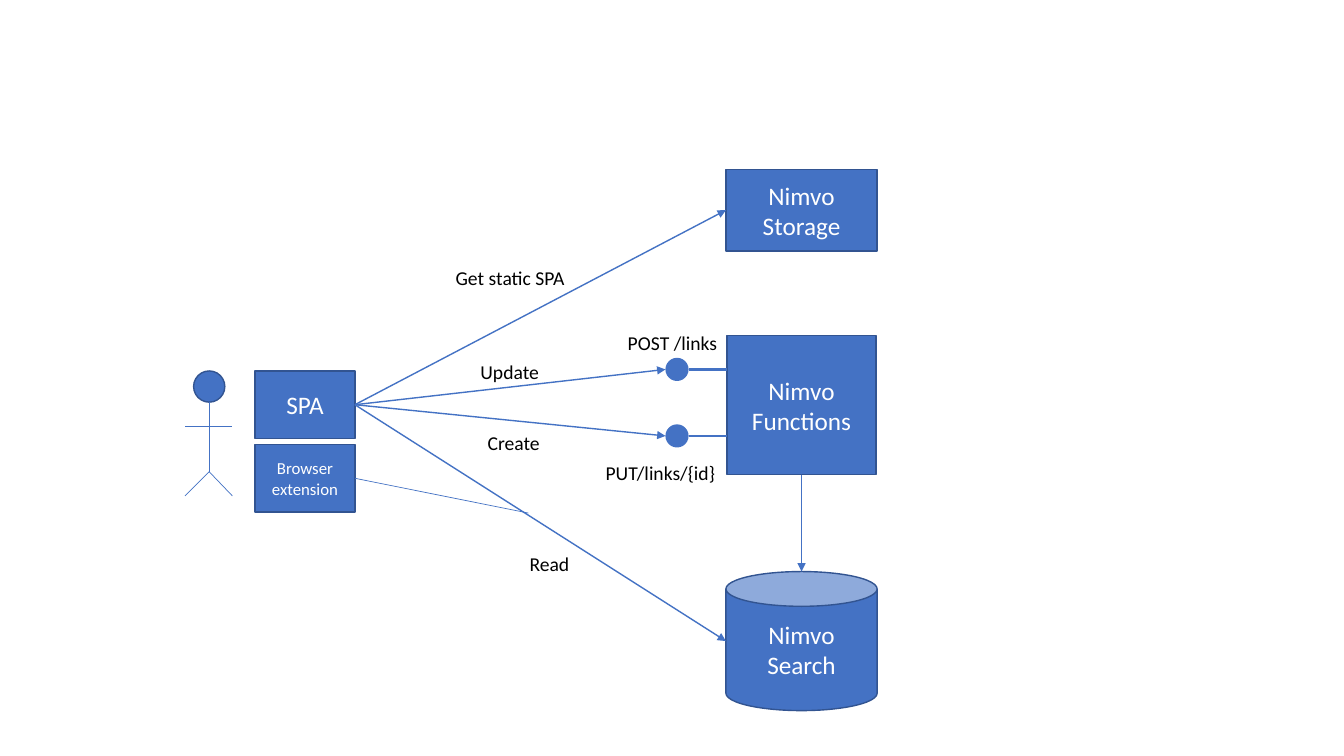
from dataclasses import dataclass
from typing import Any, NamedTuple

import lxml.etree
import pptx
import pptx.dml.color
import pptx.enum.shapes
import pptx.enum.text
import pptx.oxml.ns
import pptx.util
from pptx.util import Inches

SHAPE = pptx.enum.shapes.MSO_SHAPE
ALIGN = pptx.enum.text.PP_ALIGN
ANCHOR = pptx.enum.text.MSO_ANCHOR
RGB = pptx.dml.color.RGBColor


@dataclass(frozen=True)
class Theme:
    font: str = "Calibri"
    fill: RGB = RGB(0x44, 0x72, 0xC4)
    border: RGB = RGB(0x32, 0x54, 0x91)
    light: RGB = RGB(0xFF, 0xFF, 0xFF)
    dark: RGB = RGB(0, 0, 0)
    box_size: int = 18
    small_size: int = 12
    label_size: int = 14
    thin: float = 0.5
    normal: float = 1
    thick: float = 2


class Point(NamedTuple):
    x: float
    y: float


@dataclass(frozen=True)
class Node:
    x: float
    y: float
    w: float
    h: float
    text: str = ""
    kind: Any = SHAPE.RECTANGLE
    size: int = Theme.box_size
    bordered: bool = True

    @property
    def left(self) -> Point:
        return Point(self.x, self.y + self.h / 2)

    @property
    def right(self) -> Point:
        return Point(self.x + self.w, self.y + self.h / 2)

    @property
    def top(self) -> Point:
        return Point(self.x + self.w / 2, self.y)

    @property
    def bottom(self) -> Point:
        return Point(self.x + self.w / 2, self.y + self.h)


class Link(NamedTuple):
    start: Point
    end: Point
    width: float = Theme.normal
    arrow: bool = False


class Label(NamedTuple):
    text: str
    x: float
    y: float
    w: float


THEME = Theme()


def apply(target: Any, values: dict[str, Any]) -> None:
    for name, value in values.items():
        setattr(target, name, value)


def write(sp: Any, text: str, size: int, color: RGB, wrap: bool) -> None:
    tf = sp.text_frame
    apply(tf, {"word_wrap": wrap,
               "vertical_anchor": ANCHOR.MIDDLE if wrap else ANCHOR.TOP})
    p = tf.paragraphs[0]
    p.alignment = ALIGN.CENTER
    r = p.add_run()
    r.text = text
    apply(r.font, {"name": THEME.font, "size": pptx.util.Pt(size)})
    r.font.color.rgb = color


def draw_node(shapes: Any, node: Node) -> None:
    sp = shapes.add_shape(node.kind, *map(Inches, (node.x, node.y, node.w, node.h)))
    sp.shadow.inherit = False
    sp.fill.solid()
    sp.fill.fore_color.rgb = THEME.fill
    if node.bordered:
        sp.line.color.rgb = THEME.border
        sp.line.width = pptx.util.Pt(THEME.normal)
    else:
        sp.line.fill.background()
    if node.text:
        write(sp, node.text, node.size, THEME.light, True)


def draw_link(shapes: Any, link: Link) -> None:
    cx = shapes.add_connector(pptx.enum.shapes.MSO_CONNECTOR.STRAIGHT,
                              *map(Inches, (*link.start, *link.end)))
    cx.line.color.rgb = THEME.fill
    cx.line.width = pptx.util.Pt(link.width)
    qn = pptx.oxml.ns.qn
    if link.arrow:
        lxml.etree.SubElement(cx.line._get_or_add_ln(), qn("a:tailEnd"), type="triangle")
    lxml.etree.SubElement(cx._element.spPr, qn("a:effectLst"))


def draw_label(shapes: Any, label: Label) -> None:
    sp = shapes.add_textbox(*map(Inches, (label.x, label.y, label.w, 0.34)))
    write(sp, label.text, THEME.label_size, THEME.dark, False)


storage = Node(7.2, 1.68, 1.5, 0.81, "Nimvo Storage")
search = Node(7.2, 5.67, 1.5, 1.38, "Nimvo Search", SHAPE.CAN)
functions = Node(7.21, 3.33, 1.48, 1.38, "Nimvo Functions")
spa = Node(2.53, 3.68, 0.99, 0.67, "SPA")
extension = Node(2.53, 4.41, 0.99, 0.67, "Browser extension", size=THEME.small_size)
endpoints = [Node(6.6, y, 0.23, 0.23, kind=SHAPE.OVAL, bordered=False)
             for y in (3.55, 4.21)]

head = Node(1.92, 3.68, 0.31, 0.31, kind=SHAPE.OVAL)
hip = Point(head.bottom.x, 4.68)
limbs = [
    Link(head.bottom, hip, THEME.thin),
    Link(Point(1.84, 4.23), Point(2.3, 4.23), THEME.thin),
    *(Link(hip, Point(hip.x + dx, 4.92), THEME.thin) for dx in (-0.24, 0.23)),
]

links = [
    *(Link(e.right, Point(functions.x, e.right.y), THEME.thick) for e in endpoints),
    *(Link(spa.right, n.left, arrow=True) for n in (storage, search, *endpoints)),
    Link(functions.bottom, search.top, arrow=True),
    Link(extension.right, Point(5.24, 5.09), THEME.thin),
]

labels = [
    Label("POST /links", 6.12, 3.23, 1.1),
    Label("PUT/links/{id}", 5.9, 4.52, 1.3),
    Label("Get static SPA", 4.41, 2.59, 1.3),
    Label("Update", 4.66, 3.52, 0.79),
    Label("Create", 4.73, 4.23, 0.73),
    Label("Read", 5.15, 5.43, 0.6),
]

prs = pptx.Presentation()
apply(prs, {"slide_width": Inches(13.33), "slide_height": Inches(7.5)})
s = prs.slides.add_slide(prs.slide_layouts[6])

for node in (storage, search, functions, spa, extension, *endpoints):
    draw_node(s.shapes, node)

person = s.shapes.add_group_shape()
draw_node(person.shapes, head)
for limb in limbs:
    draw_link(person.shapes, limb)

for link in links:
    draw_link(s.shapes, link)
for label in labels:
    draw_label(s.shapes, label)

prs.save("out.pptx")
